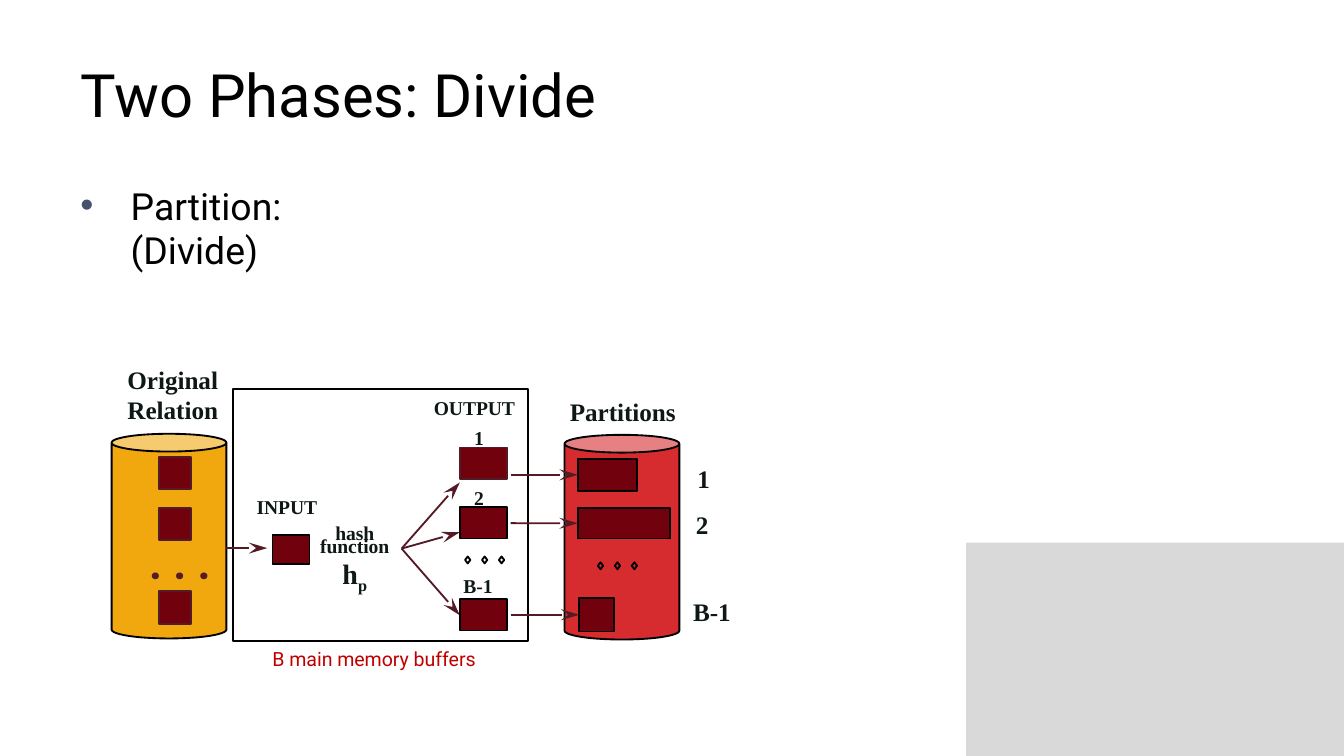
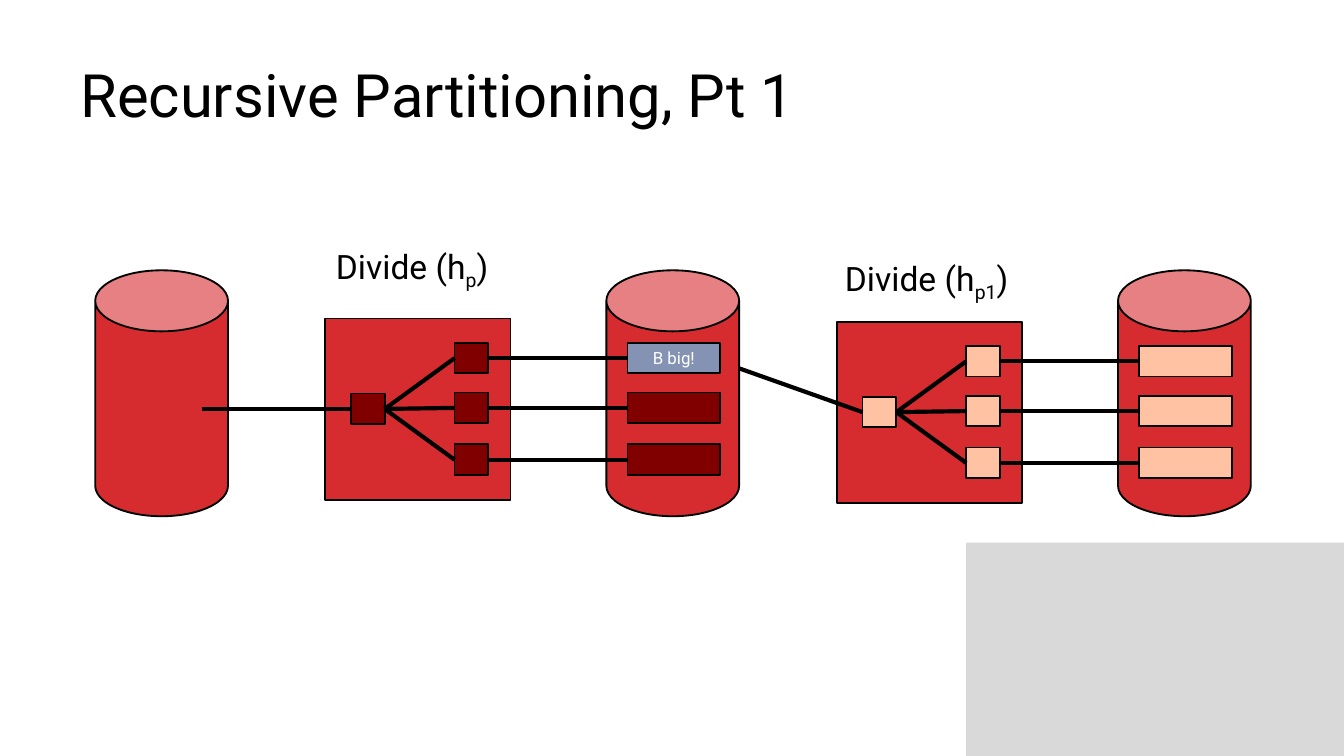
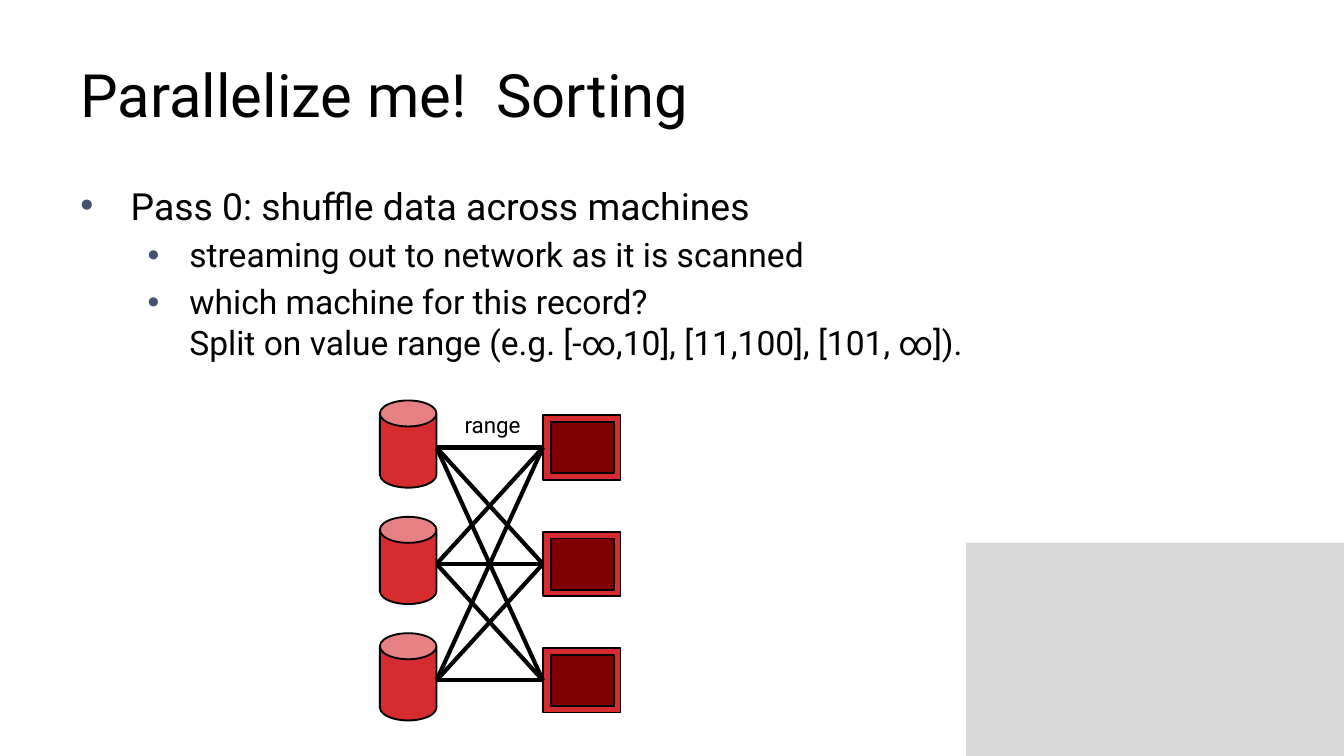
from itertools import product

from lxml.etree import SubElement
from pptx import Presentation
from pptx.dml.color import RGBColor
from pptx.enum.shapes import MSO_CONNECTOR, MSO_SHAPE as SHAPE
from pptx.enum.text import MSO_ANCHOR as ANCHOR, MSO_AUTO_SIZE as AUTO, PP_ALIGN as ALIGN
from pptx.oxml.ns import qn
from pptx.util import Cm, Pt

BLACK, WHITE, GREY = "000000", "FFFFFF", "D9D9D9"
RED, GOLD, BLUE, PEACH = "D72C2F", "F0A80E", "8492B4", "FFC2A3"
WINE, MAROON, PLUM, INK = "71010C", "800000", "541B27", "0E1817"
BUFFER_RED, BULLET = "C00000", "44516F"
SANS, SERIF = "Roboto", "Times New Roman"
RIGHT, LEFT = 3, 1
SUB = {"baseline": -25000}

# Bullets: (level, text); level: (size, left margin, hanging indent)
LEVELS = [(20, 0.95, 0.95), (18, 2.06, 0.79)]
DIVIDE_BULLETS = [(0, "Partition:\n(Divide)")]
SORT_BULLETS = [
    (0, "Pass 0: shuffle data across machines"),
    (1, "streaming out to network as it is scanned"),
    (1, "which machine for this record?\n"
        "Split on value range (e.g. [-∞,10], [11,100], [101, ∞])."),
]

# Labels of the divide diagram: (text, left, top, width, height, size)
DIVIDE_LABELS = [
    (["Original", "Relation"], 2.21, 6.78, 2.24, 1.35, 13.5),
    (["Partitions"], 10.57, 7.39, 2.41, 0.76, 13.5),
    (["1"], 12.98, 8.66, 0.64, 0.76, 13.5),
    (["2"], 12.95, 9.53, 0.64, 0.76, 13.5),
    (["B-1"], 12.9, 11.18, 1.2, 0.76, 13.5),
    (["INPUT"], 4.65, 9.25, 1.55, 0.64, 10.5),
    (["OUTPUT"], 8, 7.39, 1.96, 0.64, 10.5),
    (["1"], 8.76, 7.95, 0.58, 0.64, 10.5),
    (["2"], 8.76, 9.09, 0.58, 0.64, 10.5),
    (["B-1"], 8.56, 10.74, 1.1, 0.64, 10.5),
]
HASH_LABEL = ["hash", "function", [("h", {"size": 15}), ("p", {"size": 15, **SUB})]]
RELATION_TOPS = [8.64, 9.6, 11.18]
OUTPUTS = [(8.46, PLUM), (9.58, BLACK), (11.32, BLACK)]
FAN_ENDS = [9.12, 10.06, 11.63]
PARTITIONS = [(10.92, 8.67, 1.12, 0.61), (10.92, 9.6, 1.75, 0.58), (10.95, 11.3, 0.66, 0.64)]
ELLIPSES = [(8.79, 10.52), (11.3, 10.63)]

# Recursive stages: fill, (text of partition, its fill), line start, label box, subscript
STAGES = [
    (MAROON, ("B big!", BLUE), (3.81, 7.73), (6.1, 4.52, 3.4, 1.02), "p"),
    (PEACH, ("", PEACH), (13.54, 6.81), (15.72, 4.75, 3.63, 1.02), "p1"),
]
STAGE_STEP, STAGE_DROP = 9.67, 0.06
ROW_TOPS = [6.48, 7.42, 8.4]


def rgb(color):
    return RGBColor.from_string(color)


def write(tf, paras, size=18, color=BLACK, font=SANS, bold=False, align=None):
    """Fill a frame; a paragraph is a string or a list of (text, overrides) runs."""
    for i, para in enumerate(paras):
        p = tf.paragraphs[0] if i == 0 else tf.add_paragraph()
        if align is not None:
            p.alignment = align
        for text, extra in [(para, {})] if isinstance(para, str) else para:
            for n, part in enumerate(text.split("\n")):
                if n:
                    p.add_line_break()
                r = p.add_run()
                r.text = part
                r.font.name, r.font.bold = font, bold
                r.font.size = Pt(extra.get("size", size))
                r.font.color.rgb = rgb(color)
                if "baseline" in extra:
                    r.font._element.set("baseline", str(extra["baseline"]))


def add_text(s, paras, box, wrap=False, inset=None, **fmt):
    tf = s.shapes.add_textbox(*map(Cm, box)).text_frame
    tf.word_wrap = wrap
    tf.auto_size = AUTO.NONE if wrap else AUTO.SHAPE_TO_FIT_TEXT
    if inset:
        tf.margin_left = tf.margin_right = Cm(inset[0])
        tf.margin_top = tf.margin_bottom = Cm(inset[1])
    write(tf, paras, **fmt)
    return tf


def add_shape(s, box, fill=None, line=BLACK, kind=SHAPE.RECTANGLE, adj=None):
    sp = s.shapes.add_shape(kind, *map(Cm, box))
    sp.shadow.inherit = False
    if fill:
        sp.fill.solid()
        sp.fill.fore_color.rgb = rgb(fill)
    else:
        sp.fill.background()
    if line:
        sp.line.color.rgb = rgb(line)
        sp.line.width = Pt(1)
    else:
        sp.line.fill.background()
    if adj:
        sp.adjustments[0] = adj
    return sp


def add_can(s, box, fill=RED, adj=0.46):
    return add_shape(s, box, fill, kind=SHAPE.CAN, adj=adj)


def link(s, start, end, color=BLACK, width=2.25, arrow=False):
    """Draw a line; each end is an (x, y) point or a (shape, side) pair."""
    joins = [None if isinstance(e[0], (int, float)) else e for e in (start, end)]
    points = [(0, 0) if j else tuple(map(Cm, e)) for j, e in zip(joins, (start, end))]
    c = s.shapes.add_connector(MSO_CONNECTOR.STRAIGHT, *points[0], *points[1])
    if joins[0]:
        c.begin_connect(*joins[0])
    if joins[1]:
        c.end_connect(*joins[1])
    c.line.color.rgb = rgb(color)
    c.line.width = Pt(width)
    if arrow:
        SubElement(c.line._get_or_add_ln(), qn("a:tailEnd"), type="stealth", len="lg")
    SubElement(c._element.spPr, qn("a:effectLst"))


def add_bullets(s, items):
    tf = add_text(s, [[(text, {"size": LEVELS[lvl][0]})] for lvl, text in items],
                  (1.27, 3.33, 22.86, 9.42), wrap=True)
    for p, (lvl, _) in zip(tf.paragraphs, items):
        size, margin, hang = LEVELS[lvl]
        p.level = lvl
        p.space_before = Pt(size * 0.2)
        pPr = p._p.get_or_add_pPr()
        pPr.set("marL", str(Cm(margin)))
        pPr.set("indent", str(-Cm(hang)))
        SubElement(SubElement(pPr, qn("a:buClr")), qn("a:srgbClr"), val=BULLET)
        SubElement(pPr, qn("a:buFont"), typeface="Arial")
        SubElement(pPr, qn("a:buChar"), char="•")


def new_slide(prs, title):
    s = prs.slides.add_slide(prs.slide_layouts[6])
    add_shape(s, (18.26, 10.26, 7.14, 4.03), GREY, line=None)
    tf = add_text(s, [title], (1.27, 0.58, 22.86, 2.39), wrap=True, size=32)
    tf.vertical_anchor = ANCHOR.MIDDLE
    return s


def divide_slide(prs):
    s = new_slide(prs, "Two Phases: Divide")
    add_bullets(s, DIVIDE_BULLETS)
    add_can(s, (10.67, 8.22, 2.17, 3.87), RED, 0.155)
    add_can(s, (2.11, 8.2, 2.17, 3.87), GOLD, 0.155)
    add_shape(s, (4.41, 7.36, 5.57, 4.76))
    add_shape(s, (5.15, 10.11, 0.7, 0.55), WINE)
    for top in RELATION_TOPS:
        add_shape(s, (3, top, 0.61, 0.61), WINE, PLUM)

    arrow = dict(color=PLUM, width=1, arrow=True)
    link(s, (4.27, 10.36), (5.05, 10.36), **arrow)
    for y in FAN_ENDS:
        link(s, (7.59, 10.37), (8.69, y), **arrow)
    for top, line in OUTPUTS:
        add_shape(s, (8.69, top, 0.89, 0.6), WINE, line)
    for box in PARTITIONS:
        partition = add_shape(s, box, WINE)
        link(s, (9.65, box[1] + box[3] / 2), (partition, LEFT), **arrow)
    for (left, top), i in product(ELLIPSES, range(3)):
        add_shape(s, (left + i * 0.32, top, 0.1, 0.13), kind=SHAPE.DIAMOND)

    label = dict(font=SERIF, color=INK, bold=True, inset=(0.2, 0.1))
    for paras, *box, size in DIVIDE_LABELS:
        add_text(s, paras, box, size=size, **label)
    tf = add_text(s, HASH_LABEL, (5.84, 9.75, 1.73, 1.5), size=10.5,
                  align=ALIGN.CENTER, **label)
    tf.paragraphs[1].line_spacing = 0.5
    add_text(s, [". . ."], (2.62, 10.01, 1.57, 1.22), size=24, color=PLUM,
             bold=True, inset=(0.2, 0.1))
    add_text(s, ["B main memory buffers"], (4.95, 12.12, 4.29, 0.64), size=10.5,
             color=BUFFER_RED, inset=(0.2, 0.1))


def add_stage(s, i):
    """Draw one partitioning pass with the disk that receives its result."""
    fill, (big_text, big_fill), start, label_box, subscript = STAGES[i]
    dx, dy = i * STAGE_STEP, i * STAGE_DROP
    add_can(s, (11.46 + dx, 5.11, 2.51, 4.65))
    add_shape(s, (6.15 + dx, 6.02 + dy, 3.5, 3.43), RED)
    source = add_shape(s, (6.63 + dx, 7.44 + dy, 0.64, 0.58), fill)
    link(s, start, (source, LEFT))
    for row, top in enumerate(ROW_TOPS):
        output = add_shape(s, (8.59 + dx, top + dy, 0.64, 0.58), fill)
        partition = add_shape(s, (11.86 + dx, top + dy, 1.75, 0.58),
                              fill if row else big_fill)
        link(s, (source, RIGHT), (output, LEFT))
        link(s, (output, RIGHT), (partition, LEFT))
        if row == 0 and big_text:
            partition.text_frame.word_wrap = False
            write(partition.text_frame, [big_text], size=9, color=WHITE, align=ALIGN.CENTER)
    add_text(s, [[("Divide (h", {}), (subscript, SUB), (")", {})]], label_box)


def recursive_slide(prs):
    s = new_slide(prs, "Recursive Partitioning, Pt 1")
    add_stage(s, 1)
    add_can(s, (1.8, 5.11, 2.51, 4.65))
    add_stage(s, 0)


def sorting_slide(prs):
    s = new_slide(prs, "Parallelize me!  Sorting")
    add_bullets(s, SORT_BULLETS)
    offsets = [i * 2.2 for i in range(3)]
    machines = []
    for dy in offsets:
        add_can(s, (7.18, 7.57 + dy, 1.07, 1.65))
        machines.append(add_shape(s, (10.26, 7.85 + dy, 1.47, 1.22), RED))
        add_shape(s, (10.42, 7.98 + dy, 1.19, 0.97), MAROON)
    for dy, machine in product(offsets, machines):
        link(s, (8.25, 8.46 + dy), (machine, LEFT))
    add_text(s, ["range"], (8.53, 7.65, 1.6, 0.76), size=12)


def main():
    prs = Presentation()
    prs.slide_width, prs.slide_height = Cm(25.4), Cm(14.29)
    divide_slide(prs)
    recursive_slide(prs)
    sorting_slide(prs)
    prs.save("out.pptx")


if __name__ == "__main__":
    main()
